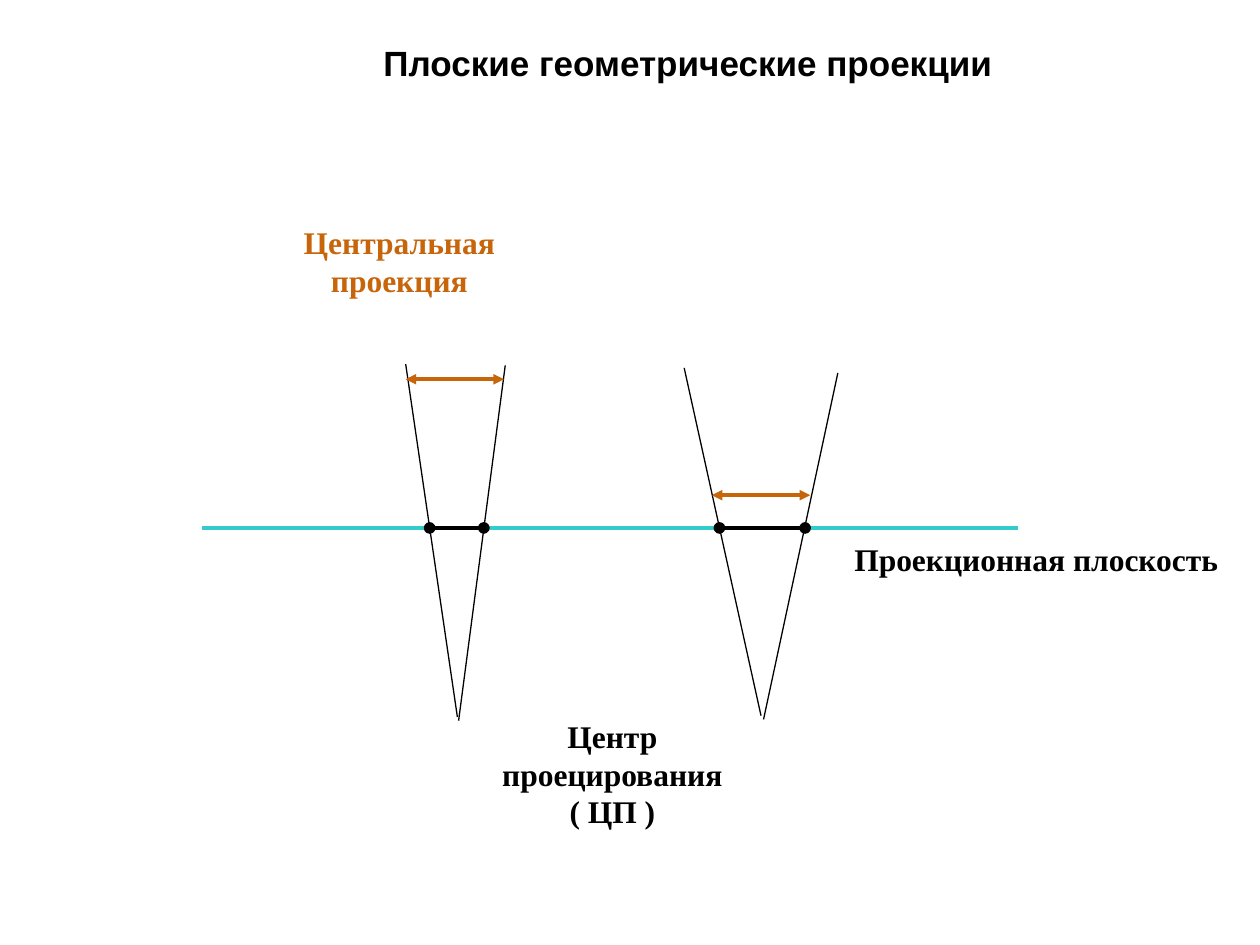
"""Build a slide on flat geometric projections."""
import pptx
import pptx.dml.color
import pptx.enum.shapes
import pptx.enum.text
import pptx.oxml
import pptx.oxml.ns
import pptx.util

Inches = pptx.util.Inches
BLACK, ORANGE, TEAL = "000000", "C7650B", "33CCCC"
PLANE = 4.19
SPAN = 0.78


def paint(code):
    """Turn a hex string into a colour."""
    return pptx.dml.color.RGBColor.from_string(code)


def label(slide, box, lines, wrap=True, gap=None, anchor="TOP", **form):
    """Write centred bold lines in the box."""
    frame = slide.shapes.add_textbox(*map(Inches, box)).text_frame
    frame.word_wrap = wrap
    frame.vertical_anchor = getattr(pptx.enum.text.MSO_ANCHOR, anchor)
    style = {"name": "Times New Roman", "size": pptx.util.Pt(18), "bold": True}
    style.update(form)
    tone = style.pop("tone", BLACK)
    for i, line in enumerate(lines):
        para = frame.paragraphs[0] if i == 0 else frame.add_paragraph()
        para.alignment = pptx.enum.text.PP_ALIGN.CENTER
        para.line_spacing = gap
        run = para.add_run()
        run.text = line
        for key, value in style.items():
            setattr(run.font, key, value)
        run.font.color.rgb = paint(tone)


def stroke(slide, start, end, tone=BLACK, width=0.75, tip=None):
    """Draw a straight line, with the same tip at both ends if given."""
    kind = pptx.enum.shapes.MSO_CONNECTOR.STRAIGHT
    line = slide.shapes.add_connector(kind, *map(Inches, (*start, *end)))
    line.line.color.rgb = paint(tone)
    line.line.width = pptx.util.Pt(width)
    props = line._element.spPr
    if tip:
        for tag in ("a:headEnd", "a:tailEnd"):
            mark = pptx.oxml.ns.qn(tag)
            props.find(pptx.oxml.ns.qn("a:ln")).makeelement(mark)
            item = pptx.oxml.parse_xml(
                f'<{tag} {pptx.oxml.ns.nsdecls("a")} type="{tip}"/>')
            props.find(pptx.oxml.ns.qn("a:ln")).append(item)
    props.append(pptx.oxml.parse_xml(
        f'<a:effectLst {pptx.oxml.ns.nsdecls("a")}/>'))


def cross(start, end):
    """Find where a ray meets the projection plane."""
    part = (PLANE - start[1]) / (end[1] - start[1])
    return round(start[0] + part * (end[0] - start[0]), 2), PLANE


def fan(slide, box, drop, tips, arrow):
    """Draw two rays, their cut on the plane and the arrow of an object."""
    left, top, width, height = box
    rays = [((left, top), (left + tips[0], top + height - 0.03)),
            ((left + width, top + drop), (left + tips[1], top + height))]
    stroke(slide, *[cross(*ray) for ray in rays], width=2.25, tip="oval")
    for ray in rays:
        stroke(slide, *ray)
    x, y = left + arrow[0], top + arrow[1]
    stroke(slide, (x, y), (x + SPAN, y), ORANGE, 2, "triangle")


def main():
    """Compose and save the slide."""
    deck = pptx.Presentation()
    deck.slide_width, deck.slide_height = Inches(10), Inches(7.5)
    slide = deck.slides.add_slide(deck.slide_layouts[6])
    label(slide, (0.96, -0.03, 9, 0.97), ["Плоские геометрические проекции"],
          gap=1.25, anchor="MIDDLE", name="Arial", size=pptx.util.Pt(20))
    stroke(slide, (1.6, PLANE), (8.08, PLANE), TEAL, 2)
    label(slide, (5.98, 4.24, 4.49, 0.4), ["Проекционная плоскость"])
    fan(slide, (3.22, 2.89, 0.79, 2.83), 0.01, (0.41, 0.42), (0, 0.12))
    label(slide, (2.17, 1.72, 2, 0.7), ["Центральная проекция"], tone=ORANGE)
    fan(slide, (5.43, 2.92, 1.22, 2.79), 0.04, (0.61, 0.63), (0.22, 1.01))
    label(slide, (3.82, 5.64, 2.08, 1), ["Центр", "проецирования", "( ЦП )"],
          wrap=False)
    deck.save("out.pptx")


if __name__ == "__main__":
    main()
